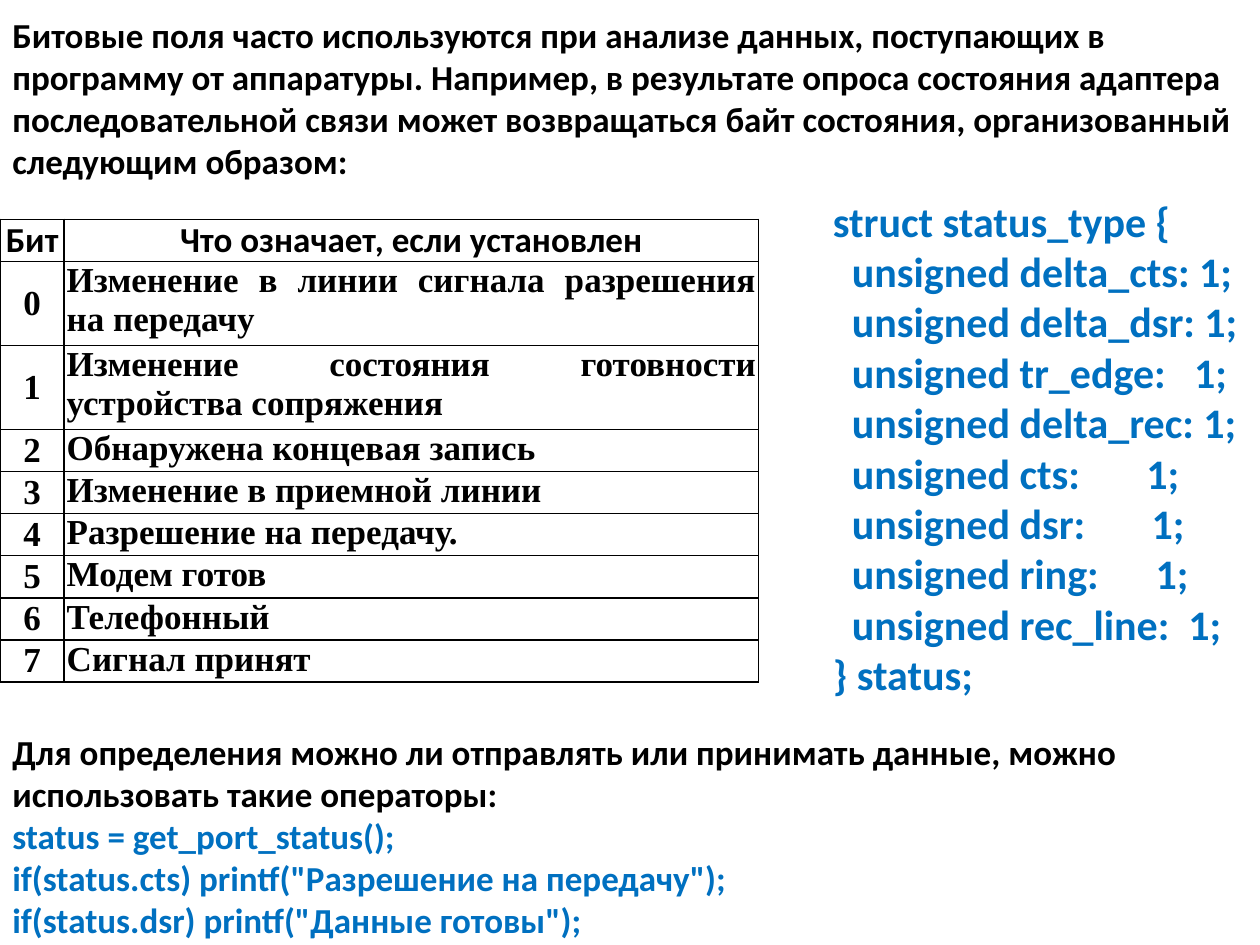
from lxml.etree import SubElement
from pptx import Presentation
from pptx.dml.color import RGBColor
from pptx.enum.text import MSO_ANCHOR, MSO_AUTO_SIZE, PP_ALIGN
from pptx.oxml.ns import qn
from pptx.util import Inches, Pt

COLORS = {"text": "000000", "code": "0070C0", "border": "000000"}
BODY_FONT = "Calibri"
CELL_FONT = "Times New Roman"

INTRO = (
    "Битовые поля часто используются при анализе данных, поступающих в программу "
    "от аппаратуры. Например, в результате опроса состояния адаптера "
    "последовательной связи может возвращаться байт состояния, организованный "
    "следующим образом:"
)
QUESTION = (
    "Для определения можно ли отправлять или принимать данные, "
    "можно использовать такие операторы:"
)
STATEMENTS = [
    "status = get_port_status();",
    'if(status.cts) printf("Разрешение на передачу");',
    'if(status.dsr) printf("Данные готовы");',
]
FIELDS = ["delta_cts", "delta_dsr", "tr_edge", "delta_rec", "cts", "dsr", "ring", "rec_line"]
HEADER = ("Бит", "Что означает, если установлен")
MEANINGS = [
    "Изменение в линии сигнала разрешения на передачу",
    "Изменение состояния готовности устройства сопряжения",
    "Обнаружена концевая запись",
    "Изменение в приемной линии",
    "Разрешение на передачу.",
    "Модем готов",
    "Телефонный",
    "Сигнал принят",
]
LINE_HEIGHT = 3.67 / 11
TWO_LINE_ROWS = (1, 2)


def write(para, text, size=20, font=BODY_FONT, color="text", align=PP_ALIGN.LEFT):
    """Put one bold, formatted span into a paragraph."""
    para.alignment = align
    span = para.add_run()
    span.text = text
    span.font.size = Pt(size)
    span.font.name = font
    span.font.bold = True
    span.font.color.rgb = RGBColor.from_string(COLORS[color])


class SlideBuilder:
    """Hold the slide and add its text boxes and tables."""

    def __init__(self, deck):
        self.slide = deck.slides.add_slide(deck.slide_layouts[6])

    def text(self, left, top, width, height, lines, side_inset=0.1, size=20):
        box = self.slide.shapes.add_textbox(
            Inches(left), Inches(top), Inches(width), Inches(height)
        )
        frame = box.text_frame
        frame.word_wrap = True
        frame.auto_size = MSO_AUTO_SIZE.SHAPE_TO_FIT_TEXT
        frame.margin_left = frame.margin_right = Inches(side_inset)
        for index, (line, color) in enumerate(lines):
            para = frame.add_paragraph() if index else frame.paragraphs[0]
            write(para, line, size=size, color=color)

    def table(self, left, top, widths, heights, rows):
        table = self.slide.shapes.add_table(
            len(rows), len(widths), Inches(left), Inches(top),
            Inches(sum(widths)), Inches(sum(heights)),
        ).table
        table.first_row = table.horz_banding = False
        for column, width in zip(table.columns, widths):
            column.width = Inches(width)
        for row, height in zip(table.rows, heights):
            row.height = Inches(height)
        for row_index, values in enumerate(rows):
            for column_index, value in enumerate(values):
                self.cell(table.cell(row_index, column_index), value,
                          is_header=row_index == 0, is_bit=column_index == 0)

    def cell(self, cell, value, is_header, is_bit):
        cell.margin_left = cell.margin_right = Inches(0.02)
        cell.margin_top = cell.margin_bottom = 0
        cell.vertical_anchor = MSO_ANCHOR.MIDDLE if is_bit else MSO_ANCHOR.TOP
        write(cell.text_frame.paragraphs[0], value,
              font=BODY_FONT if is_header else CELL_FONT,
              align=PP_ALIGN.CENTER if is_header or is_bit else PP_ALIGN.JUSTIFY)
        properties = cell._tc.get_or_add_tcPr()
        for side in ("a:lnL", "a:lnR", "a:lnT", "a:lnB"):
            line = SubElement(properties, qn(side), w=str(Pt(1)))
            fill = SubElement(line, qn("a:solidFill"))
            SubElement(fill, qn("a:srgbClr"), val=COLORS["border"])
        cell.fill.background()


deck = Presentation()
deck.slide_width, deck.slide_height = Inches(10), Inches(7.5)
page = SlideBuilder(deck)

members = [f"  unsigned {field + ':':<11}1;" for field in FIELDS]
struct = ["struct status_type {", *members, "} status;"]
page.text(6.57, 1.5, 3.39, 4.14, [(line, "code") for line in struct],
          side_inset=0.04, size=24)
page.text(0, 0.06, 10, 1.45, [(INTRO, "text")])

rows = [HEADER, *((str(bit), meaning) for bit, meaning in enumerate(MEANINGS))]
heights = [LINE_HEIGHT * (2 if index in TWO_LINE_ROWS else 1) for index in range(len(rows))]
page.table(0, 1.74, [0.51, 5.51], heights, rows)

page.text(0, 5.75, 9.96, 1.78,
          [(QUESTION, "text"), *((line, "code") for line in STATEMENTS)])

deck.save("out.pptx")
